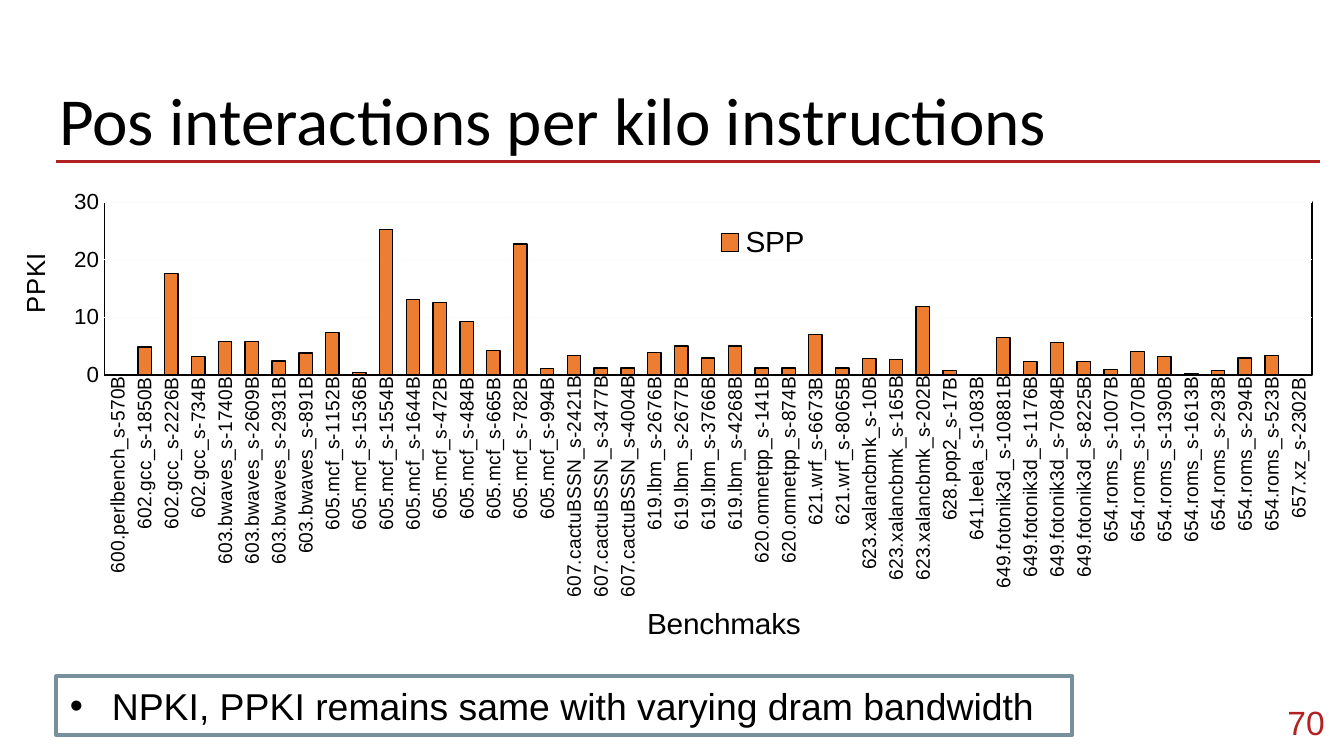
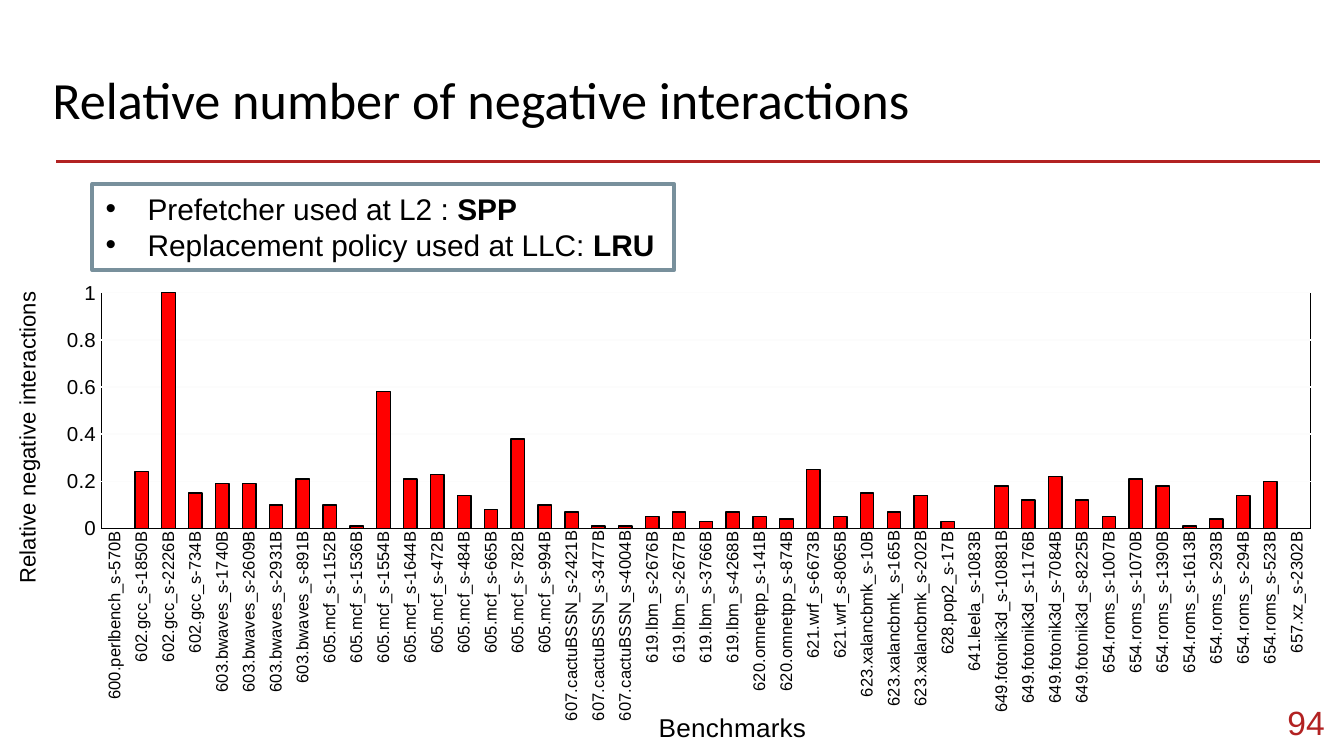
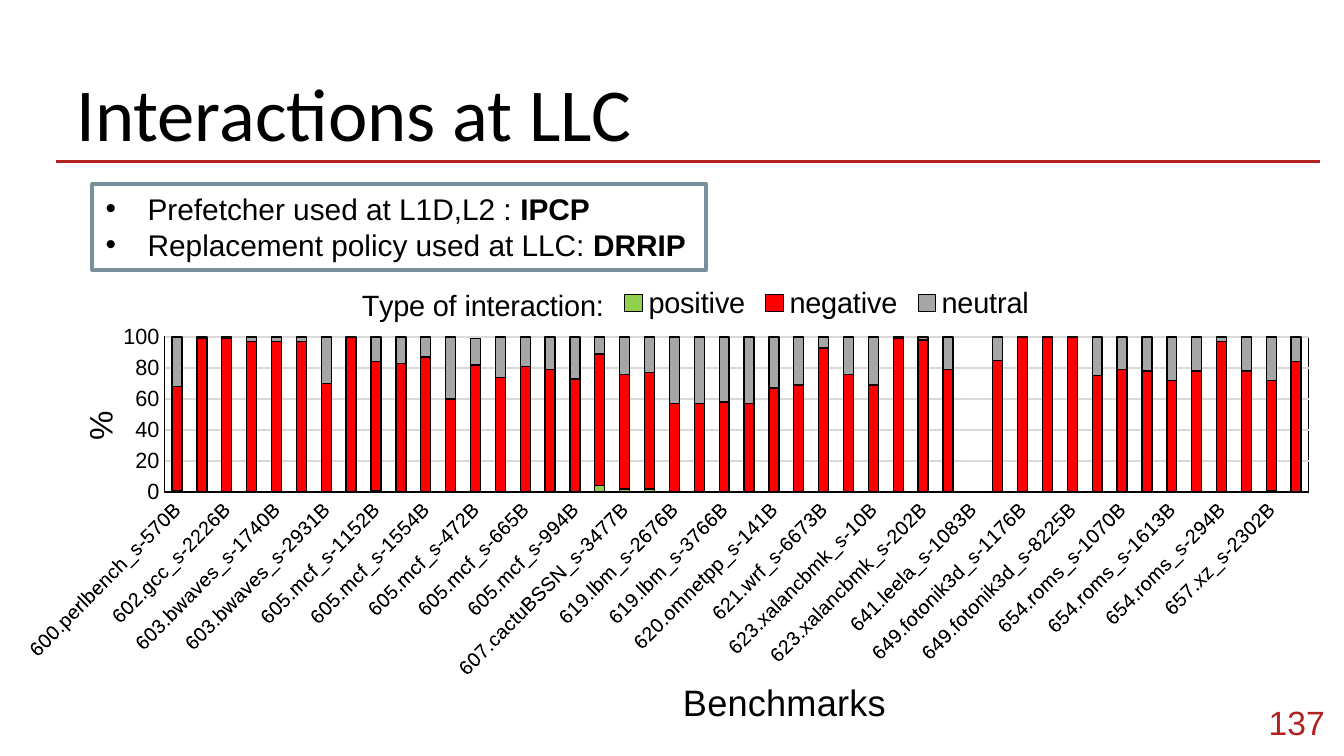
from pptx import Presentation
from pptx import util as u
from pptx.chart.data import CategoryChartData
from pptx.dml.color import RGBColor
from pptx.enum import chart as ch, shapes, text
from pptx.oxml import parse_xml
from pptx.oxml.ns import nsdecls, qn
from lxml import etree

Pt = u.Pt
C = {k: RGBColor.from_string(v) for k, v in {
    "black": "000000", "white": "FFFFFF", "red": "B22222", "frame": "78909C",
    "orange": "ED7D31", "bright": "FF0000", "green": "92D050", "gray": "A6A6A6",
    "faint": "FCFCFC", "grid": "D9D9D9"}.items()}

GROUPS = [
    ("600.perlbench_s", "570"), ("602.gcc_s", "1850 2226 734"),
    ("603.bwaves_s", "1740 2609 2931 891"),
    ("605.mcf_s", "1152 1536 1554 1644 472 484 665 782 994"),
    ("607.cactuBSSN_s", "2421 3477 4004"), ("619.lbm_s", "2676 2677 3766 4268"),
    ("620.omnetpp_s", "141 874"), ("621.wrf_s", "6673 8065"),
    ("623.xalancbmk_s", "10 165 202"), ("628.pop2_s", "17"), ("641.leela_s", "1083"),
    ("649.fotonik3d_s", "10881 1176 7084 8225"),
    ("654.roms_s", "1007 1070 1390 1613 293 294 523"), ("657.xz_s", "2302")]
benchmarks = [f"{name}-{n}B" for name, nums in GROUPS for n in nums.split()]

ppki = [0.1, 4.8, 17.6, 3.2, 5.8, 5.8, 2.4, 3.8, 7.3, 0.4, 25.2, 13.1, 12.5, 9.2, 4.2,
        22.7, 1.1, 3.4, 1.2, 1.2, 3.9, 5, 2.9, 5, 1.2, 1.2, 7, 1.2, 2.8, 2.7, 11.9, 0.8,
        0, 6.5, 2.3, 5.6, 2.3, 0.9, 4, 3.2, 0.2, 0.7, 2.9, 3.4, 0]
relative = [0, 0.24, 1, 0.15, 0.19, 0.19, 0.1, 0.21, 0.1, 0.01, 0.58, 0.21, 0.23, 0.14,
            0.08, 0.38, 0.1, 0.07, 0.01, 0.01, 0.05, 0.07, 0.03, 0.07, 0.05, 0.04, 0.25,
            0.05, 0.15, 0.07, 0.14, 0.03, 0, 0.18, 0.12, 0.22, 0.12, 0.05, 0.21, 0.18,
            0.01, 0.04, 0.14, 0.2, 0]
positive = [{0: 1, 8: 1, 17: 4, 18: 2, 19: 2, 44: 1}.get(i, 0) for i in range(46)]
negative = [67, 99, 99, 97, 97, 97, 70, 100, 83, 83, 87, 60, 82, 74, 81, 79, 73, 85, 74,
            75, 57, 57, 58, 57, 67, 69, 93, 76, 69, 99, 98, 79, 0, 85, 100, 100, 100, 75,
            79, 78, 72, 78, 97, 78, 71, 84]
neutral = [32, 1, 1, 3, 3, 3, 30, 0, 16, 17, 13, 40, 17, 26, 19, 21, 27, 11, 24, 23, 43,
           43, 42, 43, 33, 31, 7, 24, 31, 1, 2, 21, 0, 15, 0, 0, 0, 25, 21, 22, 28, 22, 3,
           22, 28, 16]

SLIDES = [
    dict(title="Pos interactions per kilo instructions", title_at=(24.5, 34.6, 671, 45.4),
         title_size=36, number="70",
         list_at=(30.2, 362.2, 544.3, 31.7), list_size=20,
         items=[("NPKI, PPKI remains same with varying dram bandwidth", "")],
         kind=ch.XL_CHART_TYPE.COLUMN_CLUSTERED, chart_at=(7.2, 91.4, 705.6, 256.3),
         cats=benchmarks, series=[("SPP", ppki, "orange")], gap=100, overlap=-24,
         plot=(6.9, 6.7, 91.7, 36.9), grid="faint", max=30, step=10,
         cat=("Benchmaks", 16, 47.7, 91.6), cat_size=10.5, turn=-90,
         val=("PPKI", 14, 0, 16.8), val_size=12,
         legend=(ch.XL_LEGEND_POSITION.TOP, 52.9, 11.3, 8, 8)),
    dict(title="Relative number of negative interactions", title_at=(20.9, 28.8, 671, 69.8),
         title_size=28, number="94",
         list_at=(49.4, 98.6, 311.8, 46.1), list_size=16,
         items=[("Prefetcher used at L2 : ", "SPP"),
                ("Replacement policy used at LLC: ", "LRU")],
         kind=ch.XL_CHART_TYPE.COLUMN_CLUSTERED, chart_at=(5, 127.4, 715, 275),
         cats=benchmarks, series=[("Series 1", relative, "bright")], gap=100, overlap=-24,
         plot=(6.9, 10.9, 90.6, 46.7), grid="faint", max=1, step=0.2,
         cat=("Benchmarks", 14, 48.3, 92.9), cat_size=9, turn=-90,
         val=("Relative negative interactions", 12, 0, 10.8), val_size=11),
    dict(title="Interactions at LLC", title_at=(33.8, 28.8, 671, 69.8),
         title_size=40, number="137",
         list_at=(49.4, 98.6, 329, 46.1), list_size=16,
         items=[("Prefetcher used at L1D,L2 : ", "IPCP"),
                ("Replacement policy used at LLC: ", "DRRIP")],
         kind=ch.XL_CHART_TYPE.COLUMN_STACKED, chart_at=(13, 144.7, 694.8, 249.8),
         cats=benchmarks + ["Mean"],
         series=[("positive", positive, "green"), ("negative", negative, "bright"),
                 ("neutral", neutral, "gray")], gap=150, overlap=100,
         plot=(7.8, 14.6, 91.2, 33.8), grid="grid", max=100, step=20,
         cat=("Benchmarks", 20, 48.6, 87.8), cat_size=11, turn=-45,
         val=("%", 18, 0.5, 29.5), val_size=12,
         heading=("Type of interaction:", 16, 23.1, 2.5),
         legend=(ch.XL_LEGEND_POSITION.BOTTOM, 43.6, 3.4, 34, 7.5)),
]


def add_run(p, words, size, color="black", name="Arial", bold=False):
    r = p.add_run()
    r.text = words
    r.font.size, r.font.name, r.font.bold = Pt(size), name, bold
    r.font.color.rgb = C[color]


def place(el, percents, inner=False):
    lay = el.find(qn("c:layout"))
    if lay is None:
        lay = etree.Element(qn("c:layout"))
        overlay = el.find(qn("c:overlay"))
        if overlay is None:
            el.insert(0, lay)
        else:
            overlay.addprevious(lay)
    manual = etree.SubElement(lay, qn("c:manualLayout"))
    parts = [("layoutTarget", "inner")] if inner else []
    parts += [("xMode", "edge"), ("yMode", "edge")]
    parts += [(tag, round(n / 100, 4)) for tag, n in zip("xywh", percents)]
    for tag, val in parts:
        etree.SubElement(manual, qn("c:" + tag)).set("val", str(val))


prs = Presentation()
prs.slide_width, prs.slide_height = Pt(720), Pt(405)
layout = prs.slide_layouts[1]

for d in SLIDES:
    s = prs.slides.add_slide(layout)

    sp = s.shapes.title
    sp.left, sp.top, sp.width, sp.height = map(Pt, d["title_at"])
    num = s.shapes.add_textbox(Pt(666.4), Pt(371.5), Pt(50.4), Pt(31))
    for box, words, size, color, name, anchor, align in [
            (sp, d["title"], d["title_size"], "black", "Calibri",
             text.MSO_ANCHOR.TOP, text.PP_ALIGN.LEFT),
            (num, d["number"], 18, "red", "Arial",
             text.MSO_ANCHOR.MIDDLE, text.PP_ALIGN.RIGHT)]:
        tf = box.text_frame
        tf.margin_left = tf.margin_right = tf.margin_top = tf.margin_bottom = Pt(7.2)
        tf.word_wrap, tf.auto_size = True, text.MSO_AUTO_SIZE.NONE
        tf.vertical_anchor = anchor
        tf.paragraphs[0].alignment = align
        add_run(tf.paragraphs[0], words, size, color, name)

    sp = s.placeholders[1]
    sp.left, sp.top, sp.width, sp.height = map(Pt, d["list_at"])
    sp.fill.solid()
    sp.fill.fore_color.rgb = C["white"]
    sp.line.color.rgb, sp.line.width = C["frame"], Pt(2)
    tf = sp.text_frame
    tf.word_wrap, tf.auto_size = True, text.MSO_AUTO_SIZE.NONE
    for i, (plain, strong) in enumerate(d["items"]):
        p = tf.add_paragraph() if i else tf.paragraphs[0]
        pPr = p._p.get_or_add_pPr()
        pPr.set("marL", str(Pt(22.5)))
        pPr.set("indent", str(-Pt(22.5)))
        clr = etree.SubElement(pPr, qn("a:buClr"))
        etree.SubElement(clr, qn("a:srgbClr")).set("val", str(C["black"]))
        etree.SubElement(pPr, qn("a:buFont")).set("typeface", "Arial")
        etree.SubElement(pPr, qn("a:buChar")).set("char", "•")
        p.space_before = Pt(0)
        add_run(p, plain, d["list_size"])
        if strong:
            add_run(p, strong, d["list_size"], bold=True)

    data = CategoryChartData()
    data.categories = d["cats"]
    for name, vals, _ in d["series"]:
        data.add_series(name, vals)
    chart = s.shapes.add_chart(d["kind"], *map(Pt, d["chart_at"]), data).chart
    chart.font.size, chart.font.name = Pt(10), "Arial"
    chart.font.color.rgb = C["black"]
    space = chart._chartSpace
    space.chart.addnext(parse_xml(
        f'<c:spPr {nsdecls("c", "a")}><a:noFill/><a:ln><a:noFill/></a:ln></c:spPr>'))
    area = space.chart.plotArea
    place(area, d["plot"], inner=True)
    area.append(parse_xml(
        f'<c:spPr {nsdecls("c", "a")}><a:noFill/><a:ln w="{Pt(0.75)}"><a:solidFill>'
        f'<a:srgbClr val="{C["black"]}"/></a:solidFill></a:ln></c:spPr>'))

    plot = chart.plots[0]
    plot.gap_width, plot.overlap, plot.vary_by_categories = d["gap"], d["overlap"], False
    for ser, (_, _, color) in zip(plot.series, d["series"]):
        ser.format.fill.solid()
        ser.format.fill.fore_color.rgb = C[color]
        ser.format.line.color.rgb, ser.format.line.width = C["black"], Pt(0.75)

    cat, val = chart.category_axis, chart.value_axis
    for axis, size in [(cat, d["cat_size"]), (val, d["val_size"])]:
        axis.major_tick_mark = axis.minor_tick_mark = ch.XL_TICK_MARK.NONE
        font = axis.tick_labels.font
        font.size, font.name, font.color.rgb = Pt(size), "Arial", C["black"]
    cat._element.txPr.bodyPr.set("rot", str(d["turn"] * 60000))
    cat.format.line.color.rgb, cat.format.line.width = C["black"], Pt(0.75)
    val.format.line.fill.background()
    val.minimum_scale, val.maximum_scale, val.major_unit = 0, d["max"], d["step"]
    val.tick_labels.number_format = "General"
    val.tick_labels.number_format_is_linked = False
    grid = val.major_gridlines.format.line
    grid.color.rgb, grid.width = C[d["grid"]], Pt(0.75)

    chart.has_title = "heading" in d
    titles = [(cat.axis_title, d["cat"], 0), (val.axis_title, d["val"], -90)]
    if chart.has_title:
        titles.append((chart.chart_title, d["heading"], 0))
    for title, (words, size, *corner), turn in titles:
        tf = title.text_frame
        add_run(tf.paragraphs[0], words, size)
        tf._txBody.bodyPr.set("rot", str(turn * 60000))
        place(title._element, corner)

    chart.has_legend = "legend" in d
    if chart.has_legend:
        legend = chart.legend
        legend.position, *box = d["legend"]
        legend.include_in_layout = False
        legend.font.size, legend.font.name = Pt(16), "Arial"
        legend.font.color.rgb = C["black"]
        place(legend._element, box)

rule = prs.slides[0].shapes.add_connector(
    shapes.MSO_CONNECTOR.STRAIGHT, Pt(30.2), Pt(86.4), Pt(707), Pt(86.4))
rule.line.color.rgb, rule.line.width = C["red"], Pt(1.5)
etree.SubElement(rule._element.spPr, qn("a:effectLst"))
layout.shapes.element.append(rule._element)

prs.save("out.pptx")
